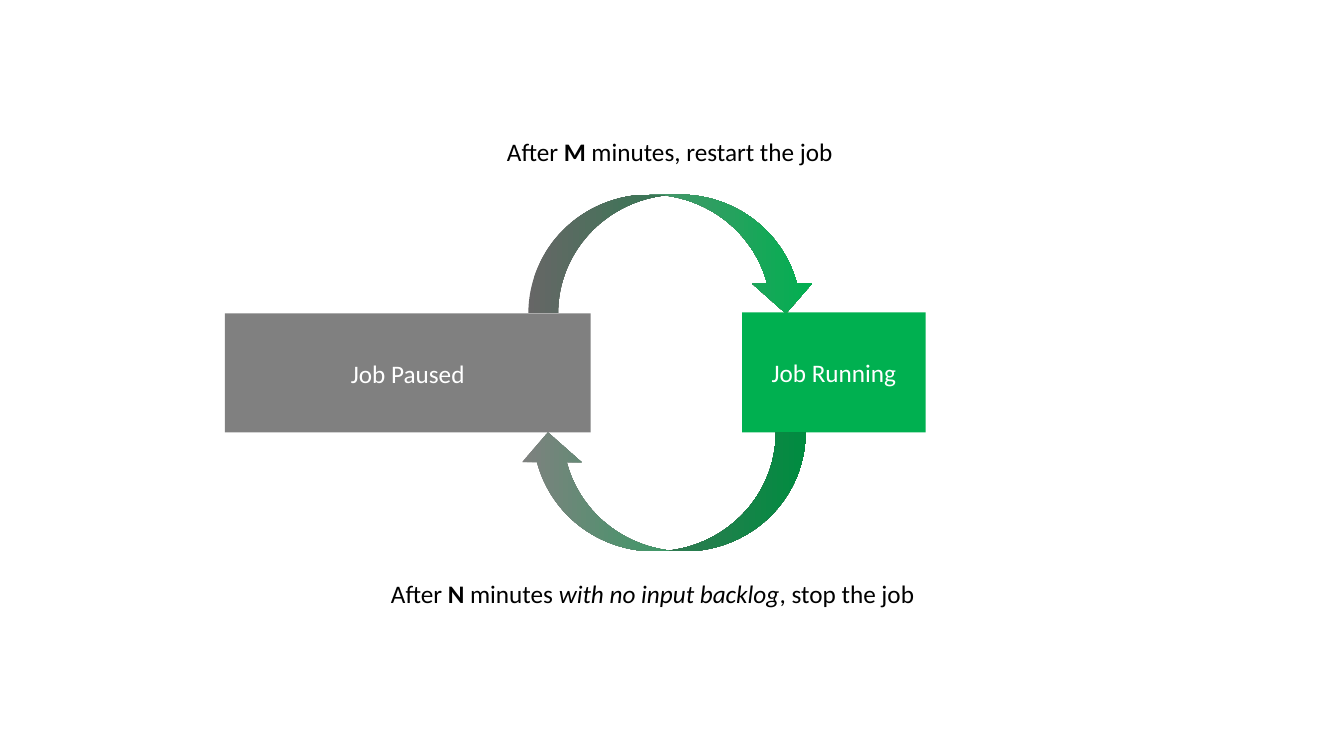
from pptx import Presentation
from pptx import util as u
from pptx.dml.color import RGBColor
from pptx.enum import shapes, text

GREY = RGBColor(0x80, 0x80, 0x80)
GREEN = RGBColor(0x00, 0xB0, 0x50)
WHITE = RGBColor(0xFF, 0xFF, 0xFF)
BLACK = RGBColor(0x00, 0x00, 0x00)


class Sketch:
    face = "Calibri"
    size = u.Pt(18)

    def __init__(self, slide):
        self.slide = slide

    def style(self, run, color):
        run.font.name, run.font.size = self.face, self.size
        run.font.color.rgb = color

    def shape(self, kind, *place):
        item = self.slide.shapes.add_shape(kind, *map(u.Inches, place))
        item.shadow.inherit = False
        item.line.fill.background()
        return item

    def state(self, name, fill, *place):
        box = self.shape(shapes.MSO_SHAPE.RECTANGLE, *place)
        box.fill.solid()
        box.fill.fore_color.rgb = fill
        frame = box.text_frame
        frame.text = name
        frame.vertical_anchor = text.MSO_ANCHOR.MIDDLE
        line = frame.paragraphs[0]
        line.alignment = text.PP_ALIGN.CENTER
        self.style(line.runs[0], WHITE)

    def arrow(self, left, top, back=False):
        curve = self.shape(shapes.MSO_SHAPE.CURVED_DOWN_ARROW, left, top, 2.85, 1.18)
        curve.fill.gradient()
        curve.fill.gradient_angle = 180 if back else 0
        for stop, color in zip(curve.fill.gradient_stops, (GREY, GREEN)):
            stop.color.rgb = color
        if back:
            for side in ("flipH", "flipV"):
                curve.element.spPr.xfrm.set(side, "1")

    def label(self, parts, *place):
        box = self.slide.shapes.add_textbox(*map(u.Inches, place))
        frame = box.text_frame
        frame.word_wrap = False
        frame.auto_size = text.MSO_AUTO_SIZE.SHAPE_TO_FIT_TEXT
        for words, mark in parts:
            run = frame.paragraphs[0].add_run()
            run.text = words
            self.style(run, BLACK)
            run.font.bold = mark == "b"
            run.font.italic = mark == "i"


deck = Presentation()
deck.slide_width, deck.slide_height = u.Inches(13.33), u.Inches(7.5)
art = Sketch(deck.slides.add_slide(deck.slide_layouts[6]))

# Job states
art.state("Job Running", GREEN, 7.36, 3.1, 1.82, 1.19)
art.state("Job Paused", GREY, 2.23, 3.11, 3.63, 1.18)

# Restart and stop arrows
art.arrow(5.24, 1.93)
art.arrow(5.14, 4.29, back=True)

# Conditions for each change
art.label([("After ", ""), ("M", "b"), (" minutes, restart the job", "")],
          4.93, 1.3, 3.47, 0.4)
art.label([("After ", ""), ("N", "b"), (" minutes ", ""),
           ("with no input backlog", "i"), (", stop the job", "")],
          3.78, 5.69, 5.46, 0.4)

deck.save("out.pptx")
